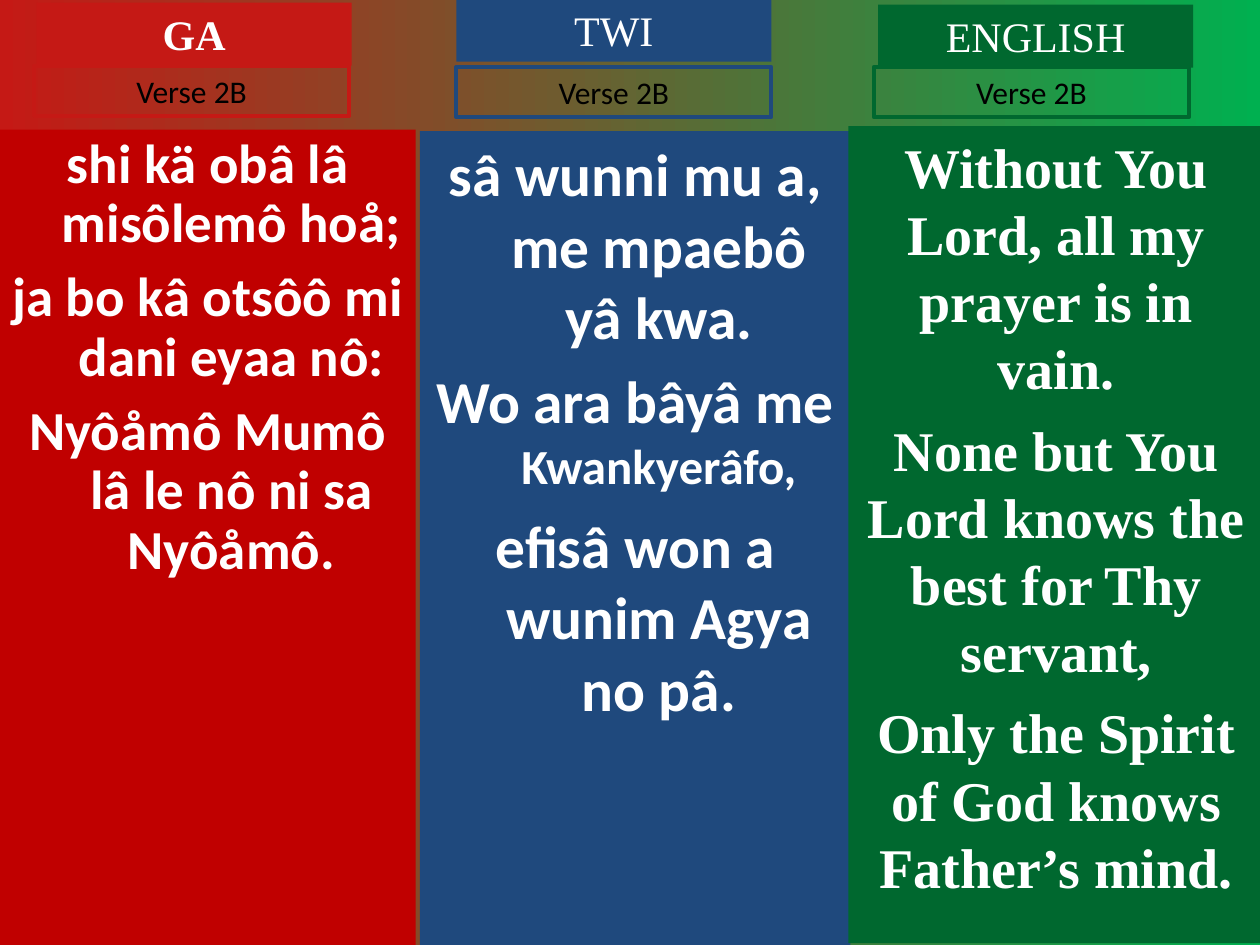
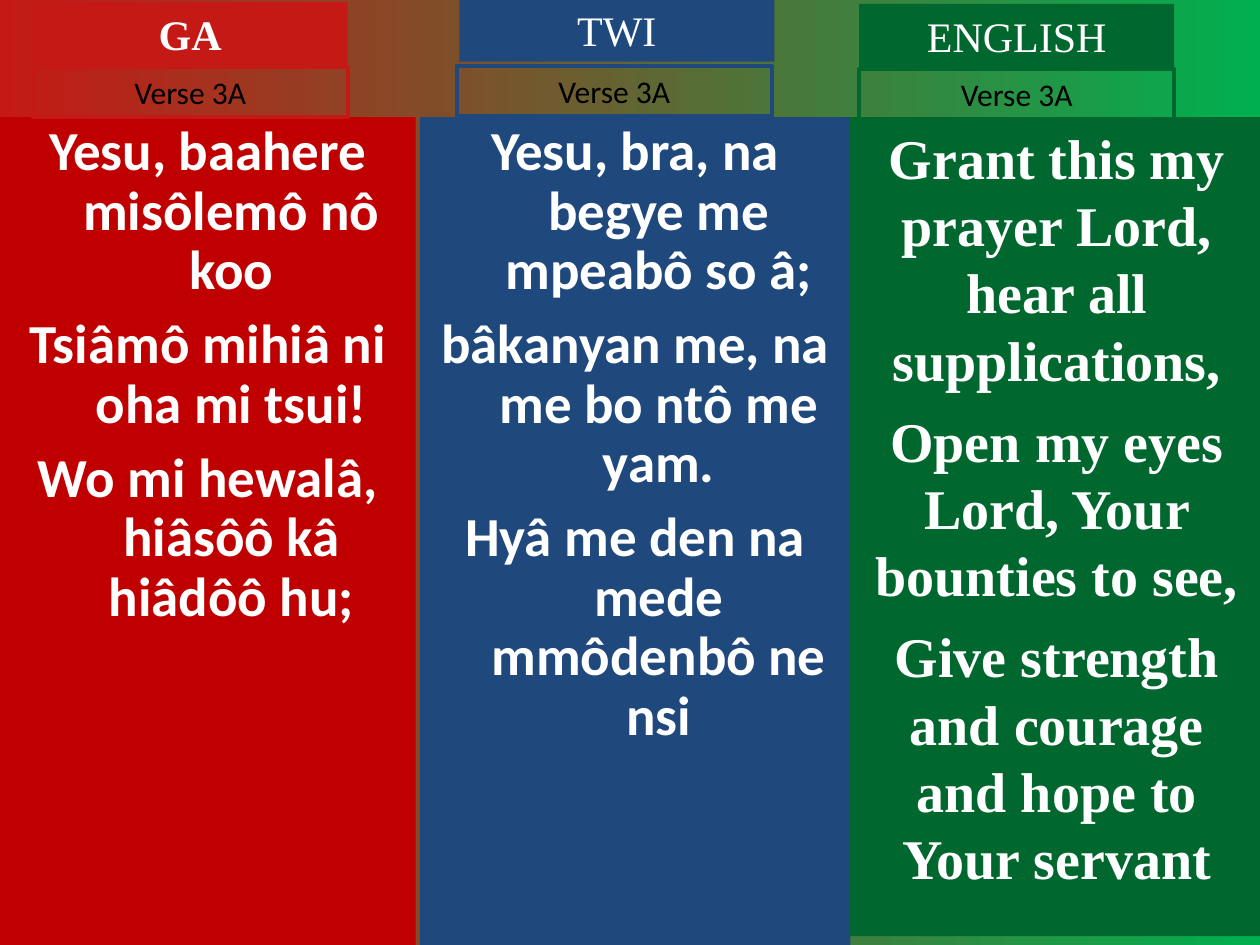
from dataclasses import dataclass

from pptx import Presentation
from pptx.dml.color import RGBColor
from pptx.enum.shapes import MSO_SHAPE as SHAPE
from pptx.enum.text import MSO_ANCHOR as ANCHOR, MSO_AUTO_SIZE as AUTO, PP_ALIGN as ALIGN
from pptx.util import Pt

SANS, SERIF = "Calibri", "Times New Roman"
RED, DARK_RED, BLUE, GREEN = "C51915", "C00000", "1F497D", "00682F"
GRADIENT_END, WHITE, BLACK = "00B050", "FFFFFF", "000000"
TAB_WIDTH, HEADING_HEIGHT, LABEL_HEIGHT = 180, 36, 28.8
HANGING = 27


@dataclass(frozen=True)
class Language:
    name: str
    color: str
    body_color: str
    font: str
    bold_heading: bool = False
    hanging: float = 0


@dataclass(frozen=True)
class Box:
    left: float
    top: float
    width: float
    height: float


@dataclass(frozen=True)
class Line:
    text: str
    before: float
    tail: str = ""  # closing words in smaller type
    tail_size: float = 28


@dataclass(frozen=True)
class Panel:
    """One language column: the body and the corners of its heading and label."""
    language: Language
    body: Box
    heading: tuple[float, float]
    label: tuple[float, float]
    size: float
    spacing: float
    lines: list[Line]


GA = Language("GA", RED, DARK_RED, SANS, bold_heading=True, hanging=HANGING)
TWI = Language("TWI", BLUE, BLUE, SANS, hanging=HANGING)
ENGLISH = Language("ENGLISH", GREEN, GREEN, SERIF)


def lines(before: float, *texts: str) -> list[Line]:
    return [Line(text, before) for text in texts]


VERSES = {
    "Verse 2B": [
        Panel(GA, Box(0, 74, 237.6, 466), (21, 1.5), (19.5, 37.5), 31.4, 0.9, lines(
            8.5,
            "shi kä obâ lâ misôlemô hoå;",
            "ja bo kâ otsôô mi dani eyaa nô:",
            "Nyôåmô Mumô lâ le nô ni sa Nyôåmô.")),
        Panel(TWI, Box(240, 75, 246, 465), (260.8, -0.7), (260.8, 38.2), 34, 1, [
            Line("sâ wunni mu a, me mpaebô yâ kwa.", 8.5),
            Line("Wo ara bâyâ me ", 7, tail="Kwankyerâfo,"),
            Line("efisâ won a wunim Agya no pâ.", 8.5)]),
        Panel(ENGLISH, Box(484.8, 72, 237.6, 467), (501.8, 2.7), (499.4, 38.2), 32, 1, lines(
            8,
            "Without You Lord, all my prayer is in vain.",
            "None but You Lord knows the best for Thy servant,",
            "Only the Spirit of God knows Father’s mind.")),
    ],
    "Verse 3A": [
        Panel(GA, Box(0, 67, 237.6, 473), (18.7, 1.2), (18.7, 38.3), 31.4, 0.9, lines(
            8.5,
            "Yesu, baahere misôlemô nô koo",
            "Tsiâmô mihiâ ni oha mi tsui!",
            "Wo mi hewalâ, hiâsôô kâ hiâdôô hu;")),
        Panel(TWI, Box(240, 67, 246, 473), (262.5, -0.8), (261, 37.6), 31.4, 0.9, lines(
            8.5,
            "Yesu, bra, na begye me mpeabô so â;",
            "bâkanyan me, na me bo ntô me yam.",
            "Hyâ me den na mede mmôdenbô ne nsi")),
        Panel(ENGLISH, Box(485.5, 67, 236.9, 468), (491, 2.2), (491, 39.5), 32, 1, lines(
            8,
            "Grant this my prayer Lord, hear all supplications,",
            "Open my eyes Lord, Your bounties to see,",
            "Give strength and courage and hope to Your servant")),
    ],
}


def rgb(color: str) -> RGBColor:
    return RGBColor.from_string(color)


def add_text(p, text: str, *, size: float, font: str, color: str = WHITE,
             bold: bool = False) -> None:
    r = p.add_run()
    r.text = text
    r.font.size, r.font.name, r.font.bold = Pt(size), font, bold
    r.font.color.rgb = rgb(color)


def add_box(slide, box: Box, *, fill: str = "", line: str = "", grow: bool = False):
    """Add a rectangle and return its text frame, centred and ready for text."""
    sp = slide.shapes.add_shape(SHAPE.RECTANGLE, Pt(box.left), Pt(box.top),
                                Pt(box.width), Pt(box.height))
    sp.shadow.inherit = False
    if fill:
        sp.fill.solid()
        sp.fill.fore_color.rgb = rgb(fill)
    else:
        sp.fill.background()
    if line:
        sp.line.color.rgb = rgb(line)
        sp.line.width = Pt(2.25)
    else:
        sp.line.fill.background()
    tf = sp.text_frame
    tf.word_wrap = True
    tf.vertical_anchor = ANCHOR.TOP
    tf.auto_size = AUTO.SHAPE_TO_FIT_TEXT if grow else AUTO.NONE
    tf.paragraphs[0].alignment = ALIGN.CENTER
    return tf


def add_body(slide, panel: Panel) -> None:
    language = panel.language
    tf = add_box(slide, panel.body, fill=language.body_color)
    for i, line in enumerate(panel.lines):
        p = tf.add_paragraph() if i else tf.paragraphs[0]
        p.alignment = ALIGN.CENTER
        p.line_spacing = panel.spacing
        p.space_before = Pt(line.before if i else 0)
        if language.hanging:
            pPr = p._p.get_or_add_pPr()
            pPr.set("marL", str(Pt(language.hanging)))
            pPr.set("indent", str(-Pt(language.hanging)))
        add_text(p, line.text, size=panel.size, font=language.font, bold=True)
        if line.tail:
            add_text(p, line.tail, size=line.tail_size, font=language.font, bold=True)


def add_tabs(slide, panel: Panel, verse: str) -> None:
    """Add the filled language heading and the outlined verse label."""
    language = panel.language
    tf = add_box(slide, Box(*panel.heading, TAB_WIDTH, HEADING_HEIGHT),
                 fill=language.color, grow=True)
    add_text(tf.paragraphs[0], language.name, size=24, font=SERIF,
             bold=language.bold_heading)
    tf = add_box(slide, Box(*panel.label, TAB_WIDTH, LABEL_HEIGHT),
                 line=language.color, grow=True)
    add_text(tf.paragraphs[0], verse, size=18, font=SANS, color=BLACK)


def set_background(slide) -> None:
    fill = slide.background.fill
    fill.gradient()
    fill.gradient_angle = 0
    for stop, color in zip(fill.gradient_stops, (RED, GRADIENT_END)):
        stop.color.rgb = rgb(color)


def main() -> None:
    prs = Presentation()
    prs.slide_width, prs.slide_height = Pt(720), Pt(540)
    for verse, panels in VERSES.items():
        slide = prs.slides.add_slide(prs.slide_layouts[6])
        set_background(slide)
        for panel in panels:
            add_body(slide, panel)
        for panel in panels:
            add_tabs(slide, panel, verse)
    prs.save("out.pptx")


if __name__ == "__main__":
    main()
